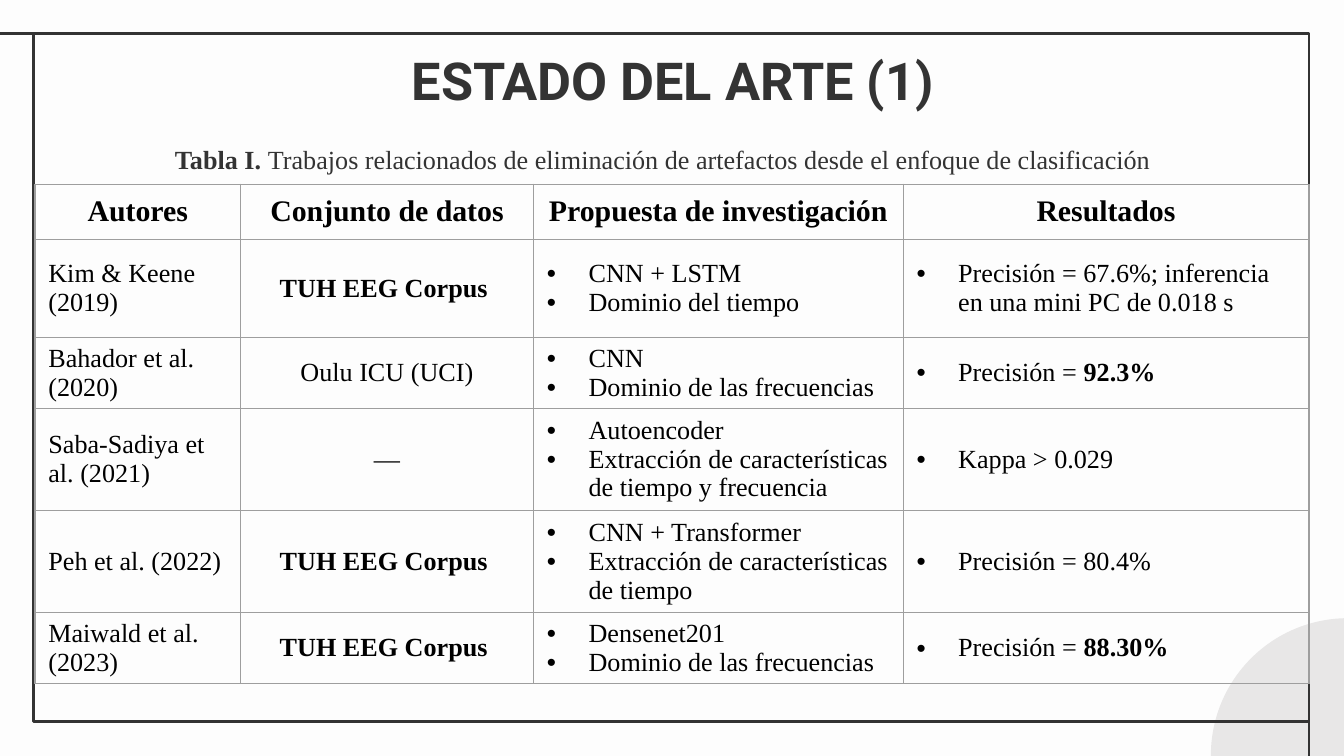
import pptx
import pptx.dml.color
import pptx.enum.shapes
import pptx.enum.text
import pptx.oxml.ns
import pptx.util
from lxml import etree

RGBColor = pptx.dml.color.RGBColor
BACKGROUND = RGBColor(0xFD, 0xFD, 0xFD)
DARK = RGBColor(0x33, 0x33, 0x33)
BLACK = RGBColor(0, 0, 0)
PALE = RGBColor(0xE8, 0xE7, 0xE7)
GRID = RGBColor(0x9E, 0x9E, 0x9E)

SERIF, SANS = "Times New Roman", "Roboto"
CENTER = pptx.enum.text.PP_ALIGN.CENTER
LEFT = pptx.enum.text.PP_ALIGN.LEFT
MIDDLE = pptx.enum.text.MSO_ANCHOR.MIDDLE
SHAPES = pptx.enum.shapes.MSO_SHAPE
Inches, Pt = pptx.util.Inches, pptx.util.Pt
qn = pptx.oxml.ns.qn

WIDTH = 10
HEIGHT = WIDTH * 9 / 16
COLUMNS = [1.53, 2.18, 2.75, 3.02]
ROWS = [0.41, 0.73] + [0.52] * 4
HEADERS = ["Autores", "Conjunto de datos", "Propuesta de investigación", "Resultados"]
CORPUS = "**TUH EEG Corpus "
# Authors, data set, proposal, results; "**" switches bold on and off
STUDIES = [
    ("Kim & Keene (2019)", CORPUS, ["CNN + LSTM", "Dominio del tiempo"],
     ["Precisión = 67.6%; inferencia en una mini PC de 0.018 s"]),
    ("Bahador et al. (2020)", "Oulu ICU (UCI)",
     ["CNN", "Dominio de las frecuencias"], ["Precisión = **92.3%"]),
    ("Saba-Sadiya et al. (2021)", "—",
     ["Autoencoder", "Extracción de características de tiempo y frecuencia"],
     ["Kappa > 0.029"]),
    ("Peh et al. (2022)", CORPUS,
     ["CNN + Transformer", "Extracción de características de tiempo"],
     ["Precisión = 80.4%"]),
    ("Maiwald et al. (2023)", CORPUS,
     ["Densenet201", "Dominio de las frecuencias"], ["Precisión = **88.30%"]),
]


def add_bullet(p):
    pPr = p._p.get_or_add_pPr()
    pPr.set("marL", str(Inches(0.31)))
    pPr.set("indent", str(-Inches(0.31)))
    color = etree.SubElement(pPr, qn("a:buClr"))
    etree.SubElement(color, qn("a:srgbClr"), val=str(BLACK))
    etree.SubElement(pPr, qn("a:buFont"), typeface="Arial")
    etree.SubElement(pPr, qn("a:buChar"), char="•")


def write(tf, text, size=14, font=SERIF, color=BLACK, align=LEFT, bullet=False):
    """Fill a text frame with one paragraph, or one for each item of a list."""
    tf.word_wrap = True
    for i, line in enumerate(text if isinstance(text, list) else [text]):
        p = tf.add_paragraph() if i else tf.paragraphs[0]
        p.alignment = align
        if bullet:
            add_bullet(p)
        for j, part in enumerate(line.split("**")):
            if part:
                r = p.add_run()
                r.text = part
                r.font.size, r.font.name = Pt(size), font
                r.font.bold = j % 2 == 1
                r.font.color.rgb = color


def add_line(slide, x1, y1, x2, y2):
    line = slide.shapes.add_connector(
        pptx.enum.shapes.MSO_CONNECTOR.STRAIGHT,
        Inches(x1), Inches(y1), Inches(x2), Inches(y2))
    line.line.color.rgb, line.line.width = DARK, Pt(1.5)
    etree.SubElement(line._element.spPr, qn("a:effectLst"))


def add_frame(slide, x, y, w, h):
    """Corner disc, border, and the two lines that run off the slide."""
    disc = slide.shapes.add_shape(SHAPES.OVAL, Inches(9.01), Inches(4.6),
                                  Inches(2.04), Inches(2.04))
    disc.shadow.inherit = False
    disc.fill.solid()
    disc.fill.fore_color.rgb = PALE
    disc.line.fill.background()

    border = slide.shapes.add_shape(SHAPES.RECTANGLE, Inches(x), Inches(y),
                                    Inches(w), Inches(h))
    border.shadow.inherit = False
    border.fill.background()
    border.line.color.rgb, border.line.width = DARK, Pt(1.5)

    add_line(slide, x, y, 0, y)
    add_line(slide, x + w, y + h, x + w, HEIGHT)


def add_text(slide, x, y, w, h, text, **style):
    sp = slide.shapes.add_textbox(Inches(x), Inches(y), Inches(w), Inches(h))
    tf = sp.text_frame
    tf.margin_left = tf.margin_right = tf.margin_top = tf.margin_bottom = Inches(0.1)
    write(tf, text, align=CENTER, **style)
    return sp


def format_cell(cell):
    cell.vertical_anchor = MIDDLE
    cell.margin_left = cell.margin_right = Inches(0.1)
    cell.margin_top = cell.margin_bottom = Inches(0.03)
    tcPr = cell._tc.get_or_add_tcPr()
    for side in ("a:lnL", "a:lnR", "a:lnT", "a:lnB"):
        ln = etree.SubElement(tcPr, qn(side), w=str(Pt(0.75)))
        fill = etree.SubElement(ln, qn("a:solidFill"))
        etree.SubElement(fill, qn("a:srgbClr"), val=str(GRID))
    cell.fill.background()


def add_studies(slide, x, y):
    table = slide.shapes.add_table(
        len(ROWS), len(COLUMNS), Inches(x), Inches(y),
        Inches(sum(COLUMNS)), Inches(sum(ROWS))).table
    table.first_row = table.horz_banding = False
    for column, width in zip(table.columns, COLUMNS):
        column.width = Inches(width)
    for row, height in zip(table.rows, ROWS):
        row.height = Inches(height)

    for c, header in enumerate(HEADERS):
        write(table.cell(0, c).text_frame, "**" + header, size=16, align=CENTER)
    for r, study in enumerate(STUDIES, 1):
        for c, text in enumerate(study):
            write(table.cell(r, c).text_frame, text,
                  align=CENTER if c == 1 else LEFT, bullet=c > 1)
    for cell in table.iter_cells():
        format_cell(cell)


def main():
    prs = pptx.Presentation()
    prs.slide_width, prs.slide_height = Inches(WIDTH), Inches(HEIGHT)
    slide = prs.slides.add_slide(prs.slide_layouts[6])
    slide.background.fill.solid()
    slide.background.fill.fore_color.rgb = BACKGROUND

    add_frame(slide, 0.25, 0.25, 9.49, 5.12)
    # Title
    add_text(slide, 0.79, 0.26, 8.43, 0.63, "**ESTADO DEL ARTE (1)",
             size=28, font=SANS, color=DARK)
    add_studies(slide, 0.26, 1.37)
    # Table caption
    caption = add_text(
        slide, 0.79, 1.02, 8.29, 0.34,
        "**Tabla I. **Trabajos relacionados de eliminación de artefactos "
        "desde el enfoque de clasificación", color=DARK)
    caption.text_frame.margin_top = caption.text_frame.margin_bottom = Inches(0.05)
    prs.save("out.pptx")


if __name__ == "__main__":
    main()
